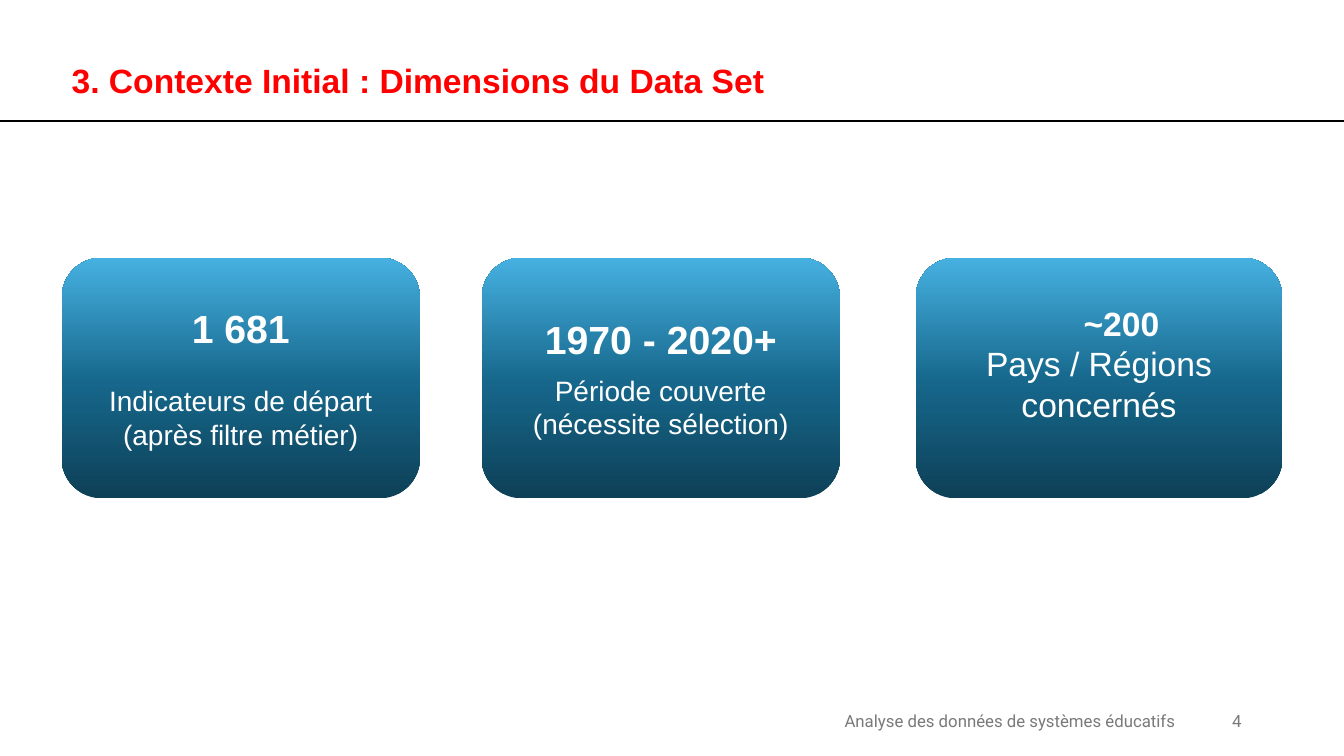
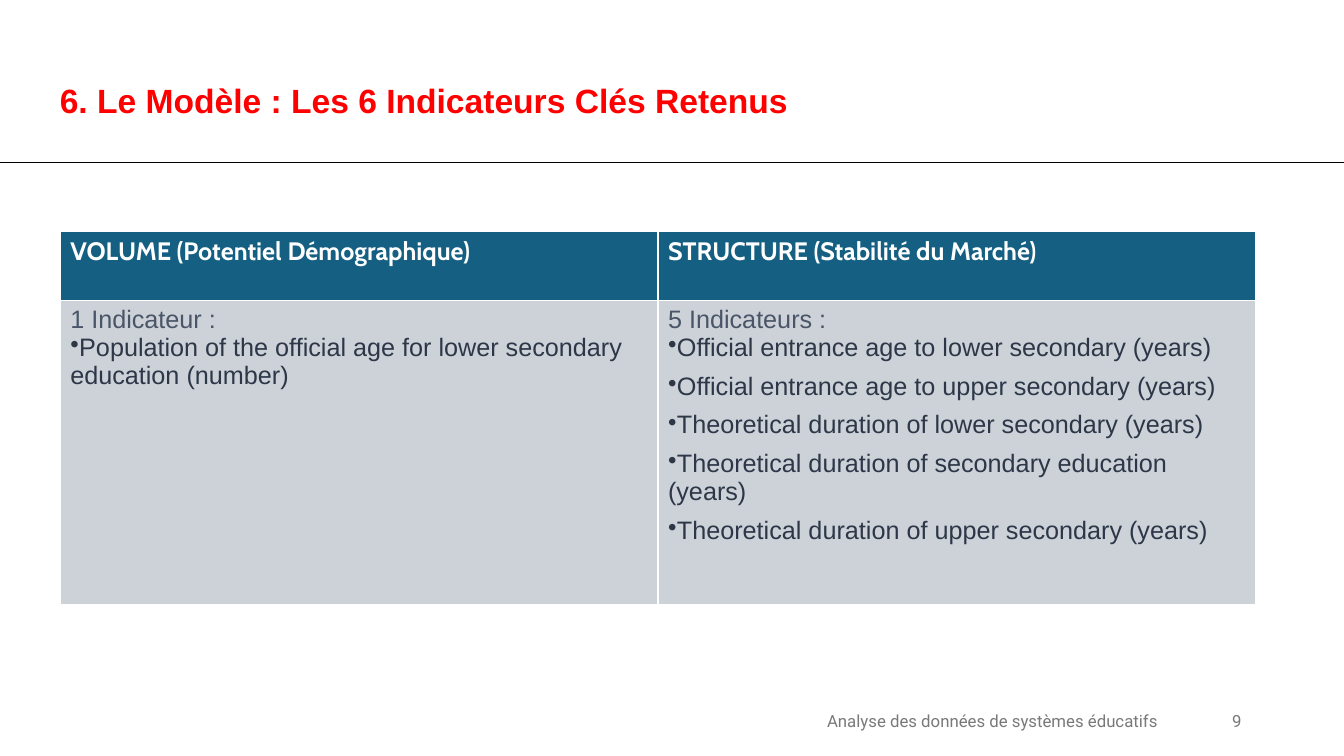
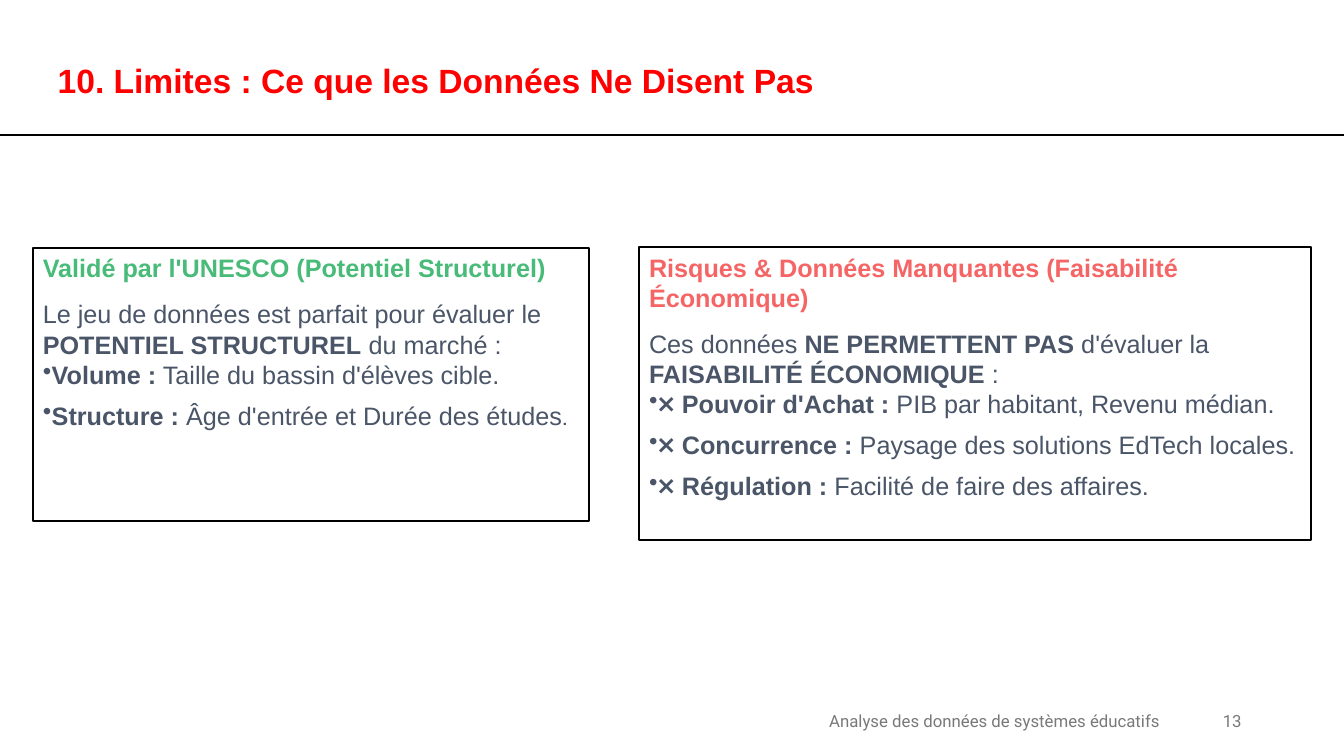
from lxml.etree import SubElement
from pptx import Presentation
from pptx.dml.color import RGBColor
from pptx.enum.shapes import MSO_CONNECTOR, MSO_SHAPE
from pptx.enum.text import MSO_ANCHOR as ANCHOR, MSO_AUTO_SIZE, PP_ALIGN as ALIGN
from pptx.oxml.ns import qn
from pptx.util import Pt

COLORS = {
    "title": "FF0000", "rule": "000000", "footer": "797979", "white": "FFFFFF",
    "card_dark": "0E4057", "card_mid": "16678B", "card_light": "46B1E1",
    "header": "156082", "cell": "CCD2D8", "body": "4A5568", "item": "2D3748",
    "valid": "48BB78", "risk": "F56565",
}
SLIDE_W, SLIDE_H = 960, 540
FOOTER = "Analyse des données de systèmes éducatifs"


def rgb(name):
    return RGBColor.from_string(COLORS[name])


def write(tf, text, color, size=18, font="Arial", bold=False, align=ALIGN.LEFT,
          before=0, after=0, bullet=False):
    """Add a paragraph; parts between ** are set in bold."""
    first = tf.paragraphs[0]
    p = tf.add_paragraph() if first.runs else first
    p.alignment = align
    p.space_before, p.space_after = Pt(before), Pt(after)
    if bullet:
        pPr = p._p.get_or_add_pPr()
        pPr.set("marL", "0")
        pPr.set("indent", "0")
        SubElement(pPr, qn("a:buChar")).set("char", "•")
    for i, part in enumerate(text.split("**")):
        if part:
            r = p.add_run()
            r.text = part
            r.font.name, r.font.size = font, Pt(size)
            r.font.bold = bold or i % 2 == 1
            r.font.color.rgb = rgb(color)
    return p


# Shared frame: title, rule, footer and slide number
def footer_text(s, x, w, text, align):
    tf = s.shapes.add_textbox(Pt(x), Pt(500.5), Pt(w), Pt(28.8)).text_frame
    tf.word_wrap = True
    tf.vertical_anchor = ANCHOR.MIDDLE
    write(tf, text, "footer", 12, "Roboto", align=align)


def add_slide(prs, title, number, title_box, rule_y, footer_x):
    s = prs.slides.add_slide(prs.slide_layouts[5])
    sp = s.shapes.title
    sp.left, sp.top, sp.width, sp.height = map(Pt, title_box)
    tf = sp.text_frame
    tf.auto_size = MSO_AUTO_SIZE.NONE
    tf.vertical_anchor = ANCHOR.TOP
    write(tf, title, "title", 24, bold=True)

    rule = s.shapes.add_connector(
        MSO_CONNECTOR.STRAIGHT, Pt(0), Pt(rule_y), Pt(SLIDE_W), Pt(rule_y))
    rule.line.color.rgb = rgb("rule")
    rule.line.width = Pt(1)
    SubElement(rule._element.spPr, qn("a:effectLst"))

    footer_text(s, footer_x, 324, FOOTER, ALIGN.CENTER)
    footer_text(s, 678, 216, str(number), ALIGN.RIGHT)
    return s


# Key figure card with a vertical gradient
def add_card(s, x, y, w, h):
    sp = s.shapes.add_shape(MSO_SHAPE.ROUNDED_RECTANGLE, Pt(x), Pt(y), Pt(w), Pt(h))
    sp.shadow.inherit = False
    sp.line.fill.background()
    sp.fill.gradient()
    sp.fill.gradient_angle = 90
    stops = sp._element.spPr.find(".//" + qn("a:gsLst"))
    for old in list(stops):
        stops.remove(old)
    for pos, name in ((0, "card_dark"), (48, "card_mid"), (100, "card_light")):
        gs = SubElement(stops, qn("a:gs"))
        gs.set("pos", str(pos * 1000))
        SubElement(gs, qn("a:srgbClr")).set("val", COLORS[name])
    tf = sp.text_frame
    tf.word_wrap = True
    tf.vertical_anchor = ANCHOR.MIDDLE
    return tf


def dimensions_slide(prs):
    s = add_slide(prs, "3. Contexte Initial : Dimensions du Data Set", 4,
                  (44, 39, 589, 36), 86.5, 559.5)
    cards = [
        (44, 256, "1 681", 28, "Indicateurs de départ (après filtre métier)", 20, 23),
        (344, 256, "1970 - 2020+", 28, "Période couverte (nécessite sélection)", 20, 7.5),
        (654, 262, "~200", 24, "Pays / Régions concernés", 24, 0),
    ]
    for x, w, figure, figure_size, label, label_size, gap in cards:
        tf = add_card(s, x, 184, w, 172)
        p = write(tf, figure, "white", figure_size, bold=True, align=ALIGN.CENTER)
        write(tf, label, "white", label_size, align=ALIGN.CENTER, before=gap)
    # The last figure sits right of centre, its text above the middle
    p._p.get_or_add_pPr().set("marL", str(Pt(32)))
    tf.margin_bottom = Pt(24.5)


# Table of retained indicators
def add_indicator_table(s, x, y, w, row_heights, columns):
    table = s.shapes.add_table(2, len(columns), Pt(x), Pt(y), Pt(w),
                               Pt(sum(row_heights))).table
    for row, height in zip(table.rows, row_heights):
        row.height = Pt(height)
    for col, (heading, count, items) in enumerate(columns):
        table.columns[col].width = Pt(w / len(columns))
        head, body = table.cell(0, col), table.cell(1, col)
        for cell, fill in ((head, "header"), (body, "cell")):
            cell.fill.solid()
            cell.fill.fore_color.rgb = rgb(fill)
        write(head.text_frame, heading, "white", font="Cabin", bold=True)
        write(body.text_frame, count, "body")
        for item in items:
            write(body.text_frame, item, "item", after=7.5, bullet=True)


def indicators_slide(prs):
    s = add_slide(prs, "6. Le Modèle : Les 6 Indicateurs Clés Retenus", 9,
                  (35.5, 53.5, 702, 36), 116, 547)
    add_indicator_table(s, 43, 165, 854, (49.5, 217.5), [
        ("VOLUME (Potentiel Démographique)", "1 Indicateur :", [
            "Population of the official age for lower secondary education (number)",
        ]),
        ("STRUCTURE (Stabilité du Marché)", "5 Indicateurs :", [
            "Official entrance age to lower secondary (years)",
            "Official entrance age to upper secondary (years)",
            "Theoretical duration of lower secondary (years)",
            "Theoretical duration of secondary education (years)",
            "Theoretical duration of upper secondary (years)",
        ]),
    ])


# Outlined panel: coloured heading, introduction, bullets
def add_panel(s, x, y, w, h, heading, color, intro, items):
    sp = s.shapes.add_shape(MSO_SHAPE.RECTANGLE, Pt(x), Pt(y), Pt(w), Pt(h))
    sp.shadow.inherit = False
    sp.fill.solid()
    sp.fill.fore_color.rgb = rgb("white")
    sp.line.color.rgb = rgb("rule")
    sp.line.width = Pt(1.5)
    tf = sp.text_frame
    tf.word_wrap = True
    tf.vertical_anchor = ANCHOR.TOP
    write(tf, heading, color, bold=True, after=11.2)
    write(tf, intro, "body")
    for item in items:
        p = write(tf, item, "body", after=7.5, bullet=True)
    return p


def limits_slide(prs):
    s = add_slide(prs, "10. Limites : Ce que les Données Ne Disent Pas", 13,
                  (34, 39, 631, 36), 96.5, 548.5)
    p = add_panel(
        s, 23.5, 177, 397.5, 195,
        "Validé par l'UNESCO (Potentiel Structurel)", "valid",
        "Le jeu de données est parfait pour évaluer le **POTENTIEL STRUCTUREL** du marché :",
        ["**Volume :** Taille du bassin d'élèves cible.",
         "**Structure :** Âge d'entrée et Durée des études"])
    r = p.add_run()
    r.text = "."
    r.font.name, r.font.size, r.font.bold = "Cabin", Pt(18), False
    r.font.color.rgb = rgb("body")
    add_panel(
        s, 456.5, 176.5, 480, 209,
        "Risques & Données Manquantes (Faisabilité Économique)", "risk",
        "Ces données **NE PERMETTENT PAS** d'évaluer la **FAISABILITÉ ÉCONOMIQUE** :",
        ["❌ **Pouvoir d'Achat :** PIB par habitant, Revenu médian.",
         "❌ **Concurrence :** Paysage des solutions EdTech locales.",
         "❌ **Régulation :** Facilité de faire des affaires."])


def main():
    prs = Presentation()
    prs.slide_width, prs.slide_height = Pt(SLIDE_W), Pt(SLIDE_H)
    dimensions_slide(prs)
    indicators_slide(prs)
    limits_slide(prs)
    prs.save("out.pptx")


if __name__ == "__main__":
    main()
